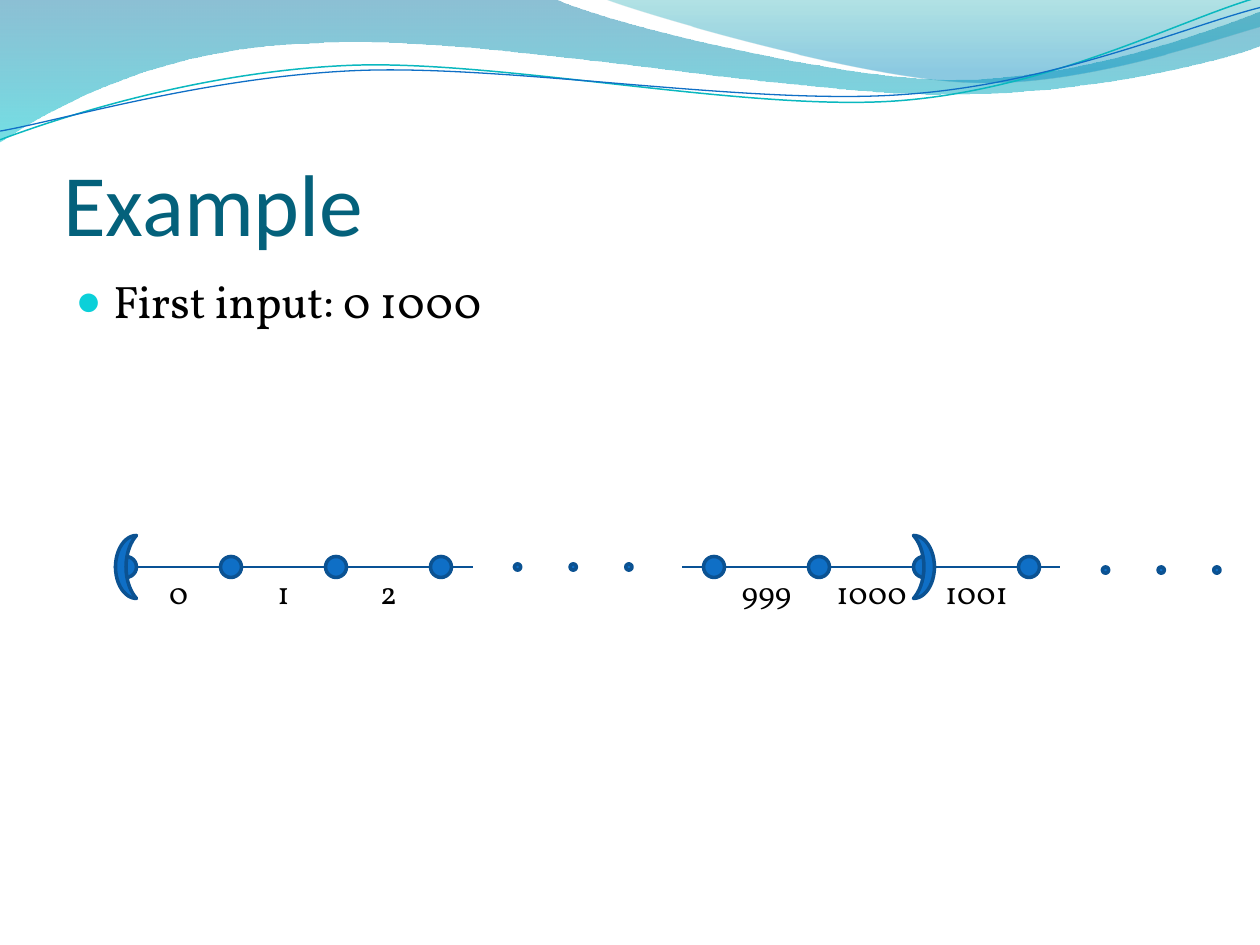
import pptx
import pptx.dml.color
import pptx.enum.shapes
import pptx.enum.text
import pptx.oxml
import pptx.oxml.ns
import pptx.util
from lxml import etree

Pt = pptx.util.Pt
RGBColor = pptx.dml.color.RGBColor
SHAPE = pptx.enum.shapes.MSO_SHAPE
ALIGN = pptx.enum.text.PP_ALIGN
qn = pptx.oxml.ns.qn

TITLE_TEAL = RGBColor(0x04, 0x61, 0x7B)
BULLET_CYAN = RGBColor(0x0B, 0xD0, 0xD9)
BLACK = RGBColor(0, 0, 0)
BLUE = RGBColor(0x0F, 0x6F, 0xC6)
DARK_BLUE = RGBColor(0x0B, 0x52, 0x92)
AXIS_BLUE = RGBColor(0x09, 0x52, 0x95)
TEAL = RGBColor(0x0A, 0xB8, 0xBF)
WAVE_BLUE = RGBColor(0x00, 0x74, 0xA1)
WAVE_CYAN = RGBColor(0x00, 0xC6, 0xCF)
WAVE_TEAL = RGBColor(0x00, 0xA1, 0xA9)
WAVE_SKY = RGBColor(0x00, 0x8B, 0xBF)

deck = pptx.Presentation()
deck.slide_width, deck.slide_height = Pt(720), Pt(540)
page = deck.slides.add_slide(deck.slide_layouts[1])
title, body = page.placeholders


def add_mark(kind, center_x, center_y, width, height):
    mark = page.shapes.add_shape(kind, Pt(center_x - width / 2), Pt(center_y - height / 2),
                                 Pt(width), Pt(height))
    mark.shadow.inherit = False
    mark.fill.solid()
    mark.fill.fore_color.rgb = BLUE
    mark.line.color.rgb = DARK_BLUE
    mark.line.width = Pt(2)
    return mark


def add_span(para, text, font, size, color):
    span = para.add_run()
    span.text = text
    span.font.name = font
    span.font.size = Pt(size)
    span.font.color.rgb = color


# Waves: a step of two numbers is a straight line, a step of six a Bézier curve.
# Each gradient stop is position, colour, opacity; each stroke is colour, width.
waves = [
    ([(0, 0), (316.8, -0.7), (342.7, 12.2, 478.1, 45.4, 545.8, 45.4),
      (614.2, 45.4, 689.8, 18.7, 720, 6.5), (720.7, 25.9),
      (707.8, 31.7, 626.4, 54.7, 537.1, 54), (447.8, 54, 275, 20.2, 185, 24.5),
      (92.9, 25.9, 33.1, 59.8, -0.7, 81.4)],
     [(0, WAVE_BLUE, 45), (1, WAVE_CYAN, 55)], None),
    ([(344.9, -0.7), (366.5, 7.9, 491, 44.6, 553.7, 46.8),
      (616.3, 49.7, 691.9, 23, 720, 15.1), (720, 0)],
     [(0, WAVE_TEAL, 30), (0.8, WAVE_SKY, 45)], None),
    ([(0, 79.9), (34.6, 67, 113.8, 41, 199.4, 37.4), (284.4, 33.8, 427, 64.1, 513.4, 57.6),
      (599.8, 51.1, 675.4, 10.8, 718.6, -1.4)], None, (TEAL, 0.85)),
    ([(0, 74.9), (33.8, 69.1, 118.1, 43.9, 203.8, 40.3), (290.2, 36.7, 429.8, 60.5, 516.2, 54),
      (601.9, 48.2, 677.5, 15.1, 720, 4.3)], None, (BLUE, 0.75)),
]
for steps, stops, stroke in waves:
    points = [(Pt(x), Pt(y)) for step in steps for x, y in zip(step[::2], step[1::2])]
    builder = page.shapes.build_freeform(*points[0])
    builder.add_line_segments(points[1:], close=stops is not None)
    wave = builder.convert_to_shape()
    wave.shadow.inherit = False

    # Join the three segments of each curve step into one cubic curve
    segments = iter(list(wave.element.iter(qn("a:lnTo"))))
    for step in steps[1:]:
        parts = [next(segments) for _ in step[::2]]
        if len(parts) == 3:
            curve = etree.Element(qn("a:cubicBezTo"))
            parts[0].addprevious(curve)
            for part in parts:
                curve.append(part[0])
                part.getparent().remove(part)

    if stops:
        wave.line.fill.background()
        wave.fill.gradient()
        wave.fill.gradient_angle = 270
        for stop, (position, color, _) in zip(wave.fill.gradient_stops, stops):
            stop.position = position
            stop.color.rgb = color
        for tint, (_, _, opacity) in zip(wave.element.spPr.iter(qn("a:srgbClr")), stops):
            etree.SubElement(tint, qn("a:alpha"), val=str(opacity * 1000))
    else:
        wave.fill.background()
        wave.line.color.rgb = stroke[0]
        wave.line.width = Pt(stroke[1])

# Title and list, brought in front of the waves
for holder in (title, body):
    holder.element.getparent().append(holder.element)
    holder.text_frame.auto_size = pptx.enum.text.MSO_AUTO_SIZE.NONE

title.left, title.top, title.width, title.height = Pt(36), Pt(55.2), Pt(648), Pt(90)
frame = title.text_frame
frame.vertical_anchor = pptx.enum.text.MSO_ANCHOR.BOTTOM
frame.margin_left = frame.margin_right = frame.margin_bottom = Pt(0)
frame.margin_top = Pt(3.6)
para = frame.paragraphs[0]
para.alignment = ALIGN.LEFT
add_span(para, "Example", "Calibri", 50, TITLE_TEAL)

body.left, body.top, body.width, body.height = Pt(36), Pt(152.4), Pt(648), Pt(345.6)
para = body.text_frame.paragraphs[0]
add_span(para, "First input: 0 1000", "Vollkorn", 26, BLACK)
props = para._p.get_or_add_pPr()
props.set("marL", str(Pt(21.6)))
props.set("indent", str(-Pt(21.6)))
bullet_color = etree.SubElement(props, qn("a:buClr"))
etree.SubElement(bullet_color, qn("a:srgbClr"), val=str(BULLET_CYAN))
etree.SubElement(props, qn("a:buSzPct"), val="95000")
etree.SubElement(props, qn("a:buChar"), char="●")

# Number line
AXIS_Y = 324
STEP = 60
LEFT_START, RIGHT_START = 72, 408
number_lines = (
    (72, 270, LEFT_START),
    (390, 606, RIGHT_START),
)
for line_start, line_end, first_tick in number_lines:
    axis = page.shapes.add_connector(pptx.enum.shapes.MSO_CONNECTOR.STRAIGHT,
                                     Pt(line_start), Pt(AXIS_Y), Pt(line_end), Pt(AXIS_Y))
    axis.line.color.rgb = AXIS_BLUE
    axis.line.width = Pt(0.75)
    etree.SubElement(axis.element.spPr, qn("a:effectLst"))
    for tick in range(4):
        add_mark(SHAPE.OVAL, first_tick + tick * STEP, AXIS_Y, 12, 12)

for first_dot, dot_y in ((295.75, AXIS_Y), (631.75, AXIS_Y + 1.75)):
    for dot in range(3):
        add_mark(SHAPE.OVAL, first_dot + dot * 31.8, dot_y, 3.6, 3.6)

for first_tick, labels in ((LEFT_START, ("0", "1", "2")), (RIGHT_START, ("999", "1000", "1001"))):
    for place, label in enumerate(labels):
        box = page.shapes.add_textbox(Pt(first_tick + place * STEP), Pt(AXIS_Y), Pt(STEP), Pt(29))
        box.text_frame.word_wrap = True
        box.text_frame.auto_size = pptx.enum.text.MSO_AUTO_SIZE.SHAPE_TO_FIT_TEXT
        para = box.text_frame.paragraphs[0]
        para.alignment = ALIGN.CENTER
        add_span(para, label, "Vollkorn", 18, BLACK)

add_mark(SHAPE.MOON, LEFT_START, AXIS_Y, 12, 36)
closing_moon = add_mark(SHAPE.MOON, RIGHT_START + 2 * STEP, AXIS_Y, 12, 36)
closing_moon.element.spPr.get_or_add_xfrm().set("flipH", "1")

deck.save("out.pptx")
